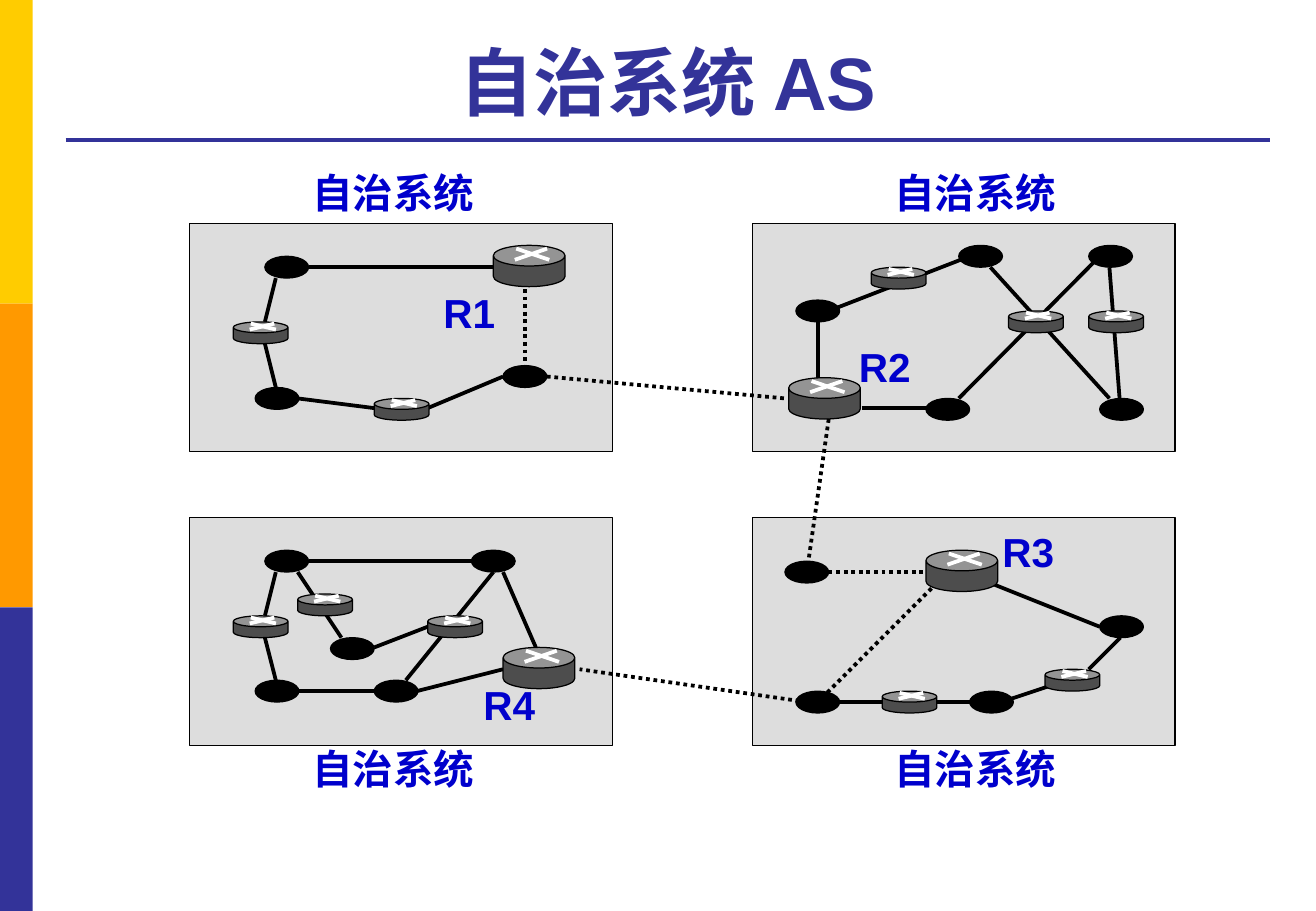
from lxml.etree import SubElement
from pptx import Presentation
from pptx.dml.color import RGBColor
from pptx.enum.dml import MSO_LINE
from pptx.enum.shapes import MSO_CONNECTOR, MSO_SHAPE
from pptx.enum.text import MSO_ANCHOR, MSO_AUTO_SIZE, PP_ALIGN
from pptx.oxml.ns import qn
from pptx.util import Inches, Pt

BOX_W, BOX_H = 3.48, 1.88
LEFT, RIGHT, TOP, BOTTOM = 1.56, 6.19, 1.84, 4.26
HOST, SWITCH, ROUTER = (0.36, 0.18), (0.45, 0.18), (0.59, 0.34)
LABEL_W, NAME_W, TEXT_H = 1.56, 0.63, 0.51
ABOVE, BELOW = -TEXT_H, BOX_H - 0.06

SYSTEMS = [
    dict(box=(LEFT, TOP), label=(0.91, ABOVE), name="R1", name_at=(1.99, 0.48),
         router=(2.5, 0.18),
         hosts=[(0.62, 0.27), (0.54, 1.35), (2.58, 1.17)],
         switches=[(0.36, 0.81), (1.52, 1.44)],
         links=[(0.98, 0.36, 2.5, 0.36), (0.71, 0.45, 0.62, 0.81),
                (0.62, 0.99, 0.71, 1.35), (0.89, 1.44, 1.52, 1.52),
                (1.96, 1.52, 2.58, 1.26)],
         dotted=[(2.76, 0.54, 2.76, 1.17)]),
    dict(box=(RIGHT, TOP), label=(1.07, ABOVE), name="R2", name_at=(0.78, 0.93),
         router=(0.3, 1.27),
         hosts=[(0.36, 0.63), (1.43, 1.44), (2.86, 1.44), (1.7, 0.18), (2.77, 0.18)],
         switches=[(2.11, 0.72), (0.98, 0.36), (2.77, 0.72)],
         links=[(1.96, 0.36, 2.94, 1.44), (1.79, 0.27, 0.63, 0.72),
                (2.94, 0.36, 3.03, 1.52), (0.9, 1.52, 1.52, 1.52),
                (1.7, 1.44, 2.86, 0.27), (0.54, 0.81, 0.54, 1.35)],
         dotted=[]),
    dict(box=(RIGHT, BOTTOM), label=(1.07, BELOW), name="R3", name_at=(1.96, 0.03),
         router=(1.43, 0.27),
         hosts=[(0.27, 0.36), (0.36, 1.43), (2.86, 0.81), (1.79, 1.43)],
         switches=[(1.07, 1.43), (2.41, 1.25)],
         links=[(0.72, 1.52, 1.79, 1.52), (2.05, 1.52, 2.59, 1.34),
                (2.77, 1.25, 3.03, 0.99), (1.96, 0.54, 2.86, 0.9)],
         dotted=[(0.63, 0.45, 1.43, 0.45), (1.52, 0.54, 0.54, 1.52)]),
    dict(box=(LEFT, BOTTOM), label=(0.91, BELOW), name="R4", name_at=(2.32, 1.29),
         router=(2.58, 1.07),
         hosts=[(0.62, 0.27), (0.54, 1.34), (2.32, 0.27), (1.16, 0.99), (1.52, 1.34)],
         switches=[(0.36, 0.81), (0.89, 0.63), (1.96, 0.81)],
         links=[(0.98, 0.36, 2.5, 0.36), (0.71, 0.45, 0.62, 0.81),
                (0.62, 0.99, 0.71, 1.34), (0.89, 1.43, 1.52, 1.43),
                (1.87, 1.43, 2.58, 1.25), (0.89, 0.45, 1.25, 0.99),
                (1.52, 1.07, 1.96, 0.9), (2.5, 0.45, 1.78, 1.34),
                (2.58, 0.45, 2.85, 1.07)],
         dotted=[]),
]
BETWEEN_SYSTEMS = [(4.5, 3.1, 6.46, 3.28), (6.82, 3.45, 6.64, 4.71),
                   (6.64, 5.78, 4.77, 5.51)]


def rgb(color):
    return RGBColor.from_string(color)


def shape(parent, kind, x, y, w, h, fill, line=None):
    sp = parent.shapes.add_shape(kind, Inches(x), Inches(y), Inches(w), Inches(h))
    sp.shadow.inherit = False
    sp.fill.solid()
    sp.fill.fore_color.rgb = rgb(fill)
    if line:
        sp.line.color.rgb = rgb(line)
        sp.line.width = Pt(0.75)
    else:
        sp.line.fill.background()
    return sp


def link(parent, x1, y1, x2, y2, color="000000", dotted=False):
    ln = parent.shapes.add_connector(
        MSO_CONNECTOR.STRAIGHT, Inches(x1), Inches(y1), Inches(x2), Inches(y2))
    ln.line.color.rgb = rgb(color)
    ln.line.width = Pt(2.25)
    if dotted:
        ln.line.dash_style = MSO_LINE.ROUND_DOT
    SubElement(ln._element.spPr, qn("a:effectLst"))


def style(p, size, color):
    for r in p.runs:
        r.font.name = "Arial"
        r.font.size = Pt(size)
        r.font.bold = True
        r.font.color.rgb = rgb(color)


def caption(parent, text, x, y, w):
    tb = parent.shapes.add_textbox(Inches(x), Inches(y), Inches(w), Inches(TEXT_H))
    tf = tb.text_frame
    tf.word_wrap = False
    tf.auto_size = MSO_AUTO_SIZE.SHAPE_TO_FIT_TEXT
    tf.text = text
    style(tf.paragraphs[0], 24, "0000CC")


def device(parent, x, y, size):
    w, h = size
    can = shape(parent, MSO_SHAPE.CAN, x, y, w, h, "4D4D4D", "000000")
    can.adjustments[0] = 0.5
    for start, end in ((0.32, 0.78), (0.75, 0.3)):
        link(parent, x + start * w, y + 0.08 * h, x + end * w, y + 0.35 * h, "FFFFFF")


def autonomous_system(s, box, label, name, name_at, router, hosts, switches, links, dotted):
    x, y = box
    grp = s.shapes.add_group_shape()
    shape(grp, MSO_SHAPE.RECTANGLE, x, y, BOX_W, BOX_H, "DDDDDD", "000000")
    for is_dotted, group in ((False, links), (True, dotted)):
        for x1, y1, x2, y2 in group:
            link(grp, x + x1, y + y1, x + x2, y + y2, dotted=is_dotted)
    for dx, dy in hosts:
        shape(grp, MSO_SHAPE.OVAL, x + dx, y + dy, *HOST, "000000", "000000")
    for dx, dy in switches:
        device(grp, x + dx, y + dy, SWITCH)
    device(grp, x + router[0], y + router[1], ROUTER)
    caption(grp, name, x + name_at[0], y + name_at[1], NAME_W)
    caption(grp, "自治系统", x + label[0], y + label[1], LABEL_W)


def side_band(s, x, y, w, h):
    colors = ("FFCC00", "FF9900", "333399")
    step = h / len(colors)
    for i, color in enumerate(colors):
        shape(s, MSO_SHAPE.RECTANGLE, x, y + i * step, w, step, color)


def heading(s, x, y, w, h):
    title = s.shapes.title
    title.left, title.top, title.width, title.height = map(Inches, (x, y, w, h))
    tf = title.text_frame
    tf.text = "自治系统 AS"
    tf.auto_size = MSO_AUTO_SIZE.NONE
    tf.vertical_anchor = MSO_ANCHOR.BOTTOM
    p = tf.paragraphs[0]
    p.alignment = PP_ALIGN.CENTER
    style(p, 44, "333399")
    rule_y = y + h + 0.07
    link(s, x, rule_y, x + w, rule_y, "333399")


def main():
    prs = Presentation()
    prs.slide_width, prs.slide_height = Inches(10.83), Inches(7.5)
    s = prs.slides.add_slide(prs.slide_layouts[5])
    side_band(s, 0, 0, 0.27, 7.5)
    heading(s, 0.54, 0.21, 9.91, 0.87)
    for system in SYSTEMS:
        autonomous_system(s, **system)
    for ends in BETWEEN_SYSTEMS:
        link(s, *ends, dotted=True)
    prs.save("out.pptx")


if __name__ == "__main__":
    main()
